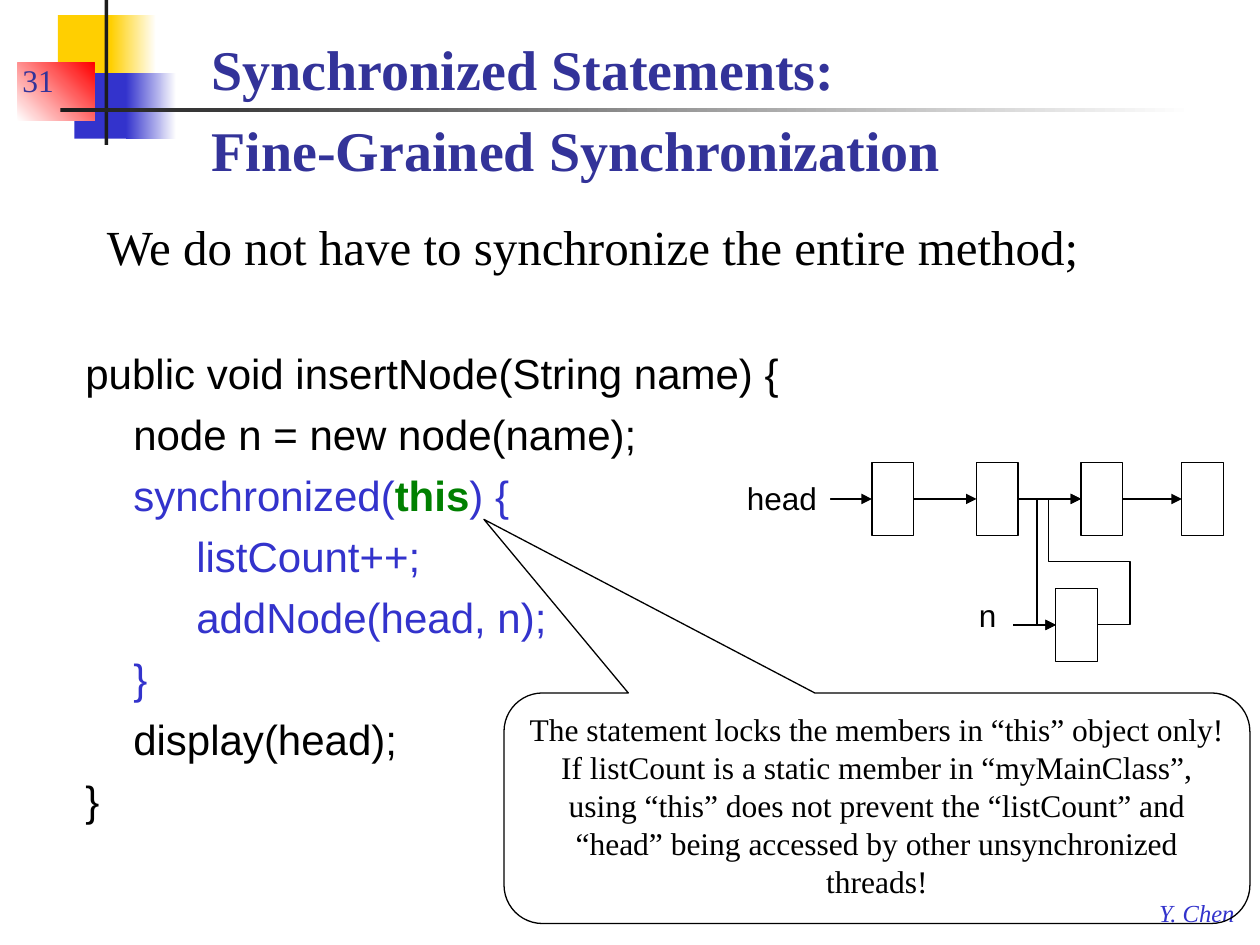
from lxml import etree
from pptx import Presentation
from pptx.dml.color import RGBColor
from pptx.enum.shapes import MSO_CONNECTOR, MSO_SHAPE
from pptx.enum.text import MSO_ANCHOR, MSO_AUTO_SIZE, PP_ALIGN
from pptx.oxml.ns import qn
from pptx.util import Inches, Pt

RECTANGLE = MSO_SHAPE.RECTANGLE
CALLOUT = MSO_SHAPE.ROUNDED_RECTANGULAR_CALLOUT
STRAIGHT, ELBOW = MSO_CONNECTOR.STRAIGHT, MSO_CONNECTOR.ELBOW
TOP, BOTTOM = MSO_ANCHOR.TOP, MSO_ANCHOR.BOTTOM
LEFT, CENTER = PP_ALIGN.LEFT, PP_ALIGN.CENTER
LEFT_SIDE, RIGHT_SIDE = 1, 3

SERIF, SANS = "Times New Roman", "Arial"
BLACK, WHITE, DARK = "000000", "FFFFFF", "1C1C1C"
YELLOW, RED, GREEN = "FFCF01", "FF0000", "008000"
BLUE, NAVY = "3333CC", "333399"

HEADING = {"name": SERIF, "size": Pt(32), "bold": True, "color": NAVY}
LEAD = {"name": SERIF, "size": Pt(28), "color": BLACK}
CODE = {"name": SANS, "size": Pt(24), "color": BLACK}
LOCKED = {**CODE, "color": BLUE}
KEYWORD = {**CODE, "bold": True, "color": GREEN}
LABEL = {"name": SANS, "size": Pt(18), "color": BLACK}
NOTE = {"name": SERIF, "size": Pt(18), "color": BLACK}
NUMBER = {**NOTE, "color": NAVY}
AUTHOR = {"name": SERIF, "size": Pt(14), "italic": True, "color": BLUE}

# Left, top, width, height, colours (two make a gradient), angle
DECORATION = [
    (0.46, 0.12, 0.48, 0.52, [YELLOW], 0),
    (0.88, 0.12, 0.36, 0.52, [YELLOW, WHITE], 0),
    (0.59, 0.58, 0.46, 0.52, [BLUE], 0),
    (1, 0.58, 0.4, 0.52, [BLUE, WHITE], 0),
    (0.14, 0.5, 0.61, 0.46, [WHITE, RED], 45),
    (0.83, 0, 0.03, 1.15, [DARK], 0),
    (0.48, 0.86, 9, 0.03, [DARK, WHITE], 0),
]

CODE_LINES = [
    [("public void insertNode(String name) {", CODE)],
    [("\tnode n = new node(name);", CODE)],
    [("\tsynchronized(", LOCKED), ("this", KEYWORD), (") {", LOCKED)],
    [("\t\tlistCount++;", LOCKED)],
    [("\t\taddNode(head, n);", LOCKED)],
    [("\t}", LOCKED)],
    [("\tdisplay(head);", CODE)],
    [("}", CODE)],
]
NOTE_LINES = [
    [("The statement locks the members in “this” object only!", NOTE)],
    [("If listCount is a static member in “myMainClass”, using “this” does "
      "not prevent the “listCount” and “head” being accessed by other "
      "unsynchronized threads!", NOTE)],
]

NODE_LEFTS = [6.92, 7.75, 8.58, 9.38]
NODE_WIDTH, NODE_HEIGHT = 0.33, 0.58
LIST_TOP, NEW_TOP = 3.67, 4.67
LIST_MIDDLE = LIST_TOP + NODE_HEIGHT / 2
NEW_MIDDLE = NEW_TOP + NODE_HEIGHT / 2
NEW_LEFT = 8.38


def rgb(color):
    return RGBColor.from_string(color)


def set_font(span, style):
    for name, value in style.items():
        if name == "color":
            span.font.color.rgb = rgb(value)
        else:
            setattr(span.font, name, value)


def write_lines(frame, lines, align=LEFT, space_before=0, hanging=0):
    """Write each line, a list of (text, style) spans, as one paragraph."""
    for index, spans in enumerate(lines):
        para = frame.add_paragraph() if index else frame.paragraphs[0]
        para.alignment = align
        if index:
            para.space_before = Pt(space_before)
        if hanging:
            properties = para._p.get_or_add_pPr()
            properties.set("marL", str(Inches(hanging)))
            properties.set("indent", str(-Inches(hanging)))
        for text, style in spans:
            span = para.add_run()
            span.text = text
            set_font(span, style)


def add_text(page, bounds, lines, wrap=True, anchor=TOP, fill=None, **layout):
    box = page.shapes.add_textbox(*map(Inches, bounds))
    box.text_frame.word_wrap = wrap
    box.text_frame.vertical_anchor = anchor
    if fill:
        box.fill.solid()
        box.fill.fore_color.rgb = rgb(fill)
    write_lines(box.text_frame, lines, **layout)


def add_shape(page, kind, bounds, colors=(), angle=0, outline=None):
    """Add a shape: no colour leaves it empty, two make a gradient."""
    shape = page.shapes.add_shape(kind, *map(Inches, bounds))
    shape.shadow.inherit = False
    if len(colors) == 2:
        shape.fill.gradient()
        shape.fill.gradient_angle = angle
        for position, (stop, color) in enumerate(
                zip(shape.fill.gradient_stops, colors)):
            stop.position = position
            stop.color.rgb = rgb(color)
    elif colors:
        shape.fill.solid()
        shape.fill.fore_color.rgb = rgb(colors[0])
    else:
        shape.fill.background()
    if outline:
        shape.line.color.rgb = rgb(outline)
        shape.line.width = Pt(0.75)
    else:
        shape.line.fill.background()
    return shape


def add_node(page, left, top):
    return add_shape(page, RECTANGLE, (left, top, NODE_WIDTH, NODE_HEIGHT),
                     [WHITE], outline=BLACK)


def add_arrow(page, start, end, kind=STRAIGHT, source=None, target=None):
    arrow = page.shapes.add_connector(kind, *map(Inches, (*start, *end)))
    arrow.line.color.rgb = rgb(BLACK)
    arrow.line.width = Pt(0.75)
    etree.SubElement(arrow.line._get_or_add_ln(), qn("a:tailEnd"),
                     type="triangle")
    etree.SubElement(arrow._element.spPr, qn("a:effectLst"))
    if source is not None:
        arrow.begin_connect(source, RIGHT_SIDE)
    if target is not None:
        arrow.end_connect(target, LEFT_SIDE)
    return arrow


def bend_five(arrow, adjustments):
    """Turn an elbow into a five-part one with the given bend positions."""
    geometry = arrow._element.spPr.find(qn("a:prstGeom"))
    geometry.set("prst", "bentConnector5")
    guides = geometry.find(qn("a:avLst"))
    if guides is None:
        guides = etree.SubElement(geometry, qn("a:avLst"))
    for index, value in enumerate(adjustments, 1):
        etree.SubElement(guides, qn("a:gd"), name=f"adj{index}",
                         fmla=f"val {int(value * 100000)}")


def format_title(page):
    title = page.shapes.title
    title.left, title.top, title.width, title.height = map(
        Inches, (1.58, 0, 8.33, 1.5))
    frame = title.text_frame
    frame.auto_size = MSO_AUTO_SIZE.NONE
    frame.vertical_anchor = BOTTOM
    para = frame.paragraphs[0]
    para.text = "Synchronized Statements:\vFine-Grained Synchronization"
    para.alignment = LEFT
    para.line_spacing = 1.2
    for span in para.runs:
        set_font(span, HEADING)
    line_break = para._p.find(qn("a:br"))
    etree.SubElement(line_break, qn("a:rPr"), sz="3200")


def add_linked_list(page):
    nodes = [add_node(page, left, LIST_TOP) for left in NODE_LEFTS]
    for source, target in zip(nodes, nodes[1:]):
        add_arrow(page, (0, 0), (0, 0), source=source, target=target)
    add_arrow(page, (6.58, LIST_MIDDLE), (6.92, LIST_MIDDLE), target=nodes[0])
    add_text(page, (5.83, 3.75, 0.76, 0.4), [[("head", LABEL)]], False,
             fill=WHITE)

    new_node = add_node(page, NEW_LEFT, NEW_TOP)
    add_arrow(page, (8.04, NEW_MIDDLE), (NEW_LEFT, NEW_MIDDLE),
              target=new_node)
    add_text(page, (7.67, 4.68, 0.34, 0.4), [[("n", LABEL)]], False,
             fill=WHITE)
    add_arrow(page, (8.08, LIST_MIDDLE), (NEW_LEFT, NEW_MIDDLE), ELBOW)
    link = add_arrow(page, (NEW_LEFT + NODE_WIDTH, NEW_MIDDLE),
                     (8.58, LIST_MIDDLE), ELBOW)
    bend_five(link, (-2, 0.5, 3))


def add_callout(page):
    callout = add_shape(page, CALLOUT, (4, 5.5, 5.92, 1.83), outline=BLACK)
    for index, value in enumerate((-0.527, -1.253, 0.167)):
        callout.adjustments[index] = value
    callout.text_frame.word_wrap = True
    callout.text_frame.vertical_anchor = TOP
    write_lines(callout.text_frame, NOTE_LINES, CENTER)


def main():
    deck = Presentation()
    deck.slide_width, deck.slide_height = Inches(10), Inches(7.5)
    page = deck.slides.add_slide(deck.slide_layouts[5])
    for *bounds, colors, angle in DECORATION:
        add_shape(page, RECTANGLE, bounds, colors, angle)
    add_text(page, (9.1, 7.08, 0.82, 0.33), [[("Y. Chen", AUTHOR)]], False)
    add_text(page, (0.08, 0.33, 2.08, 0.5), [[("31", NUMBER)]], anchor=BOTTOM)
    format_title(page)
    add_text(page, (0.75, 1.67, 9.04, 0.67), [[(
        "We do not have to synchronize the entire method;", LEAD)]],
        hanging=0.38)
    add_text(page, (0.58, 2.71, 6.5, 4.37), CODE_LINES, space_before=6,
             hanging=0.38)
    add_linked_list(page)
    add_callout(page)
    deck.save("out.pptx")


if __name__ == "__main__":
    main()
